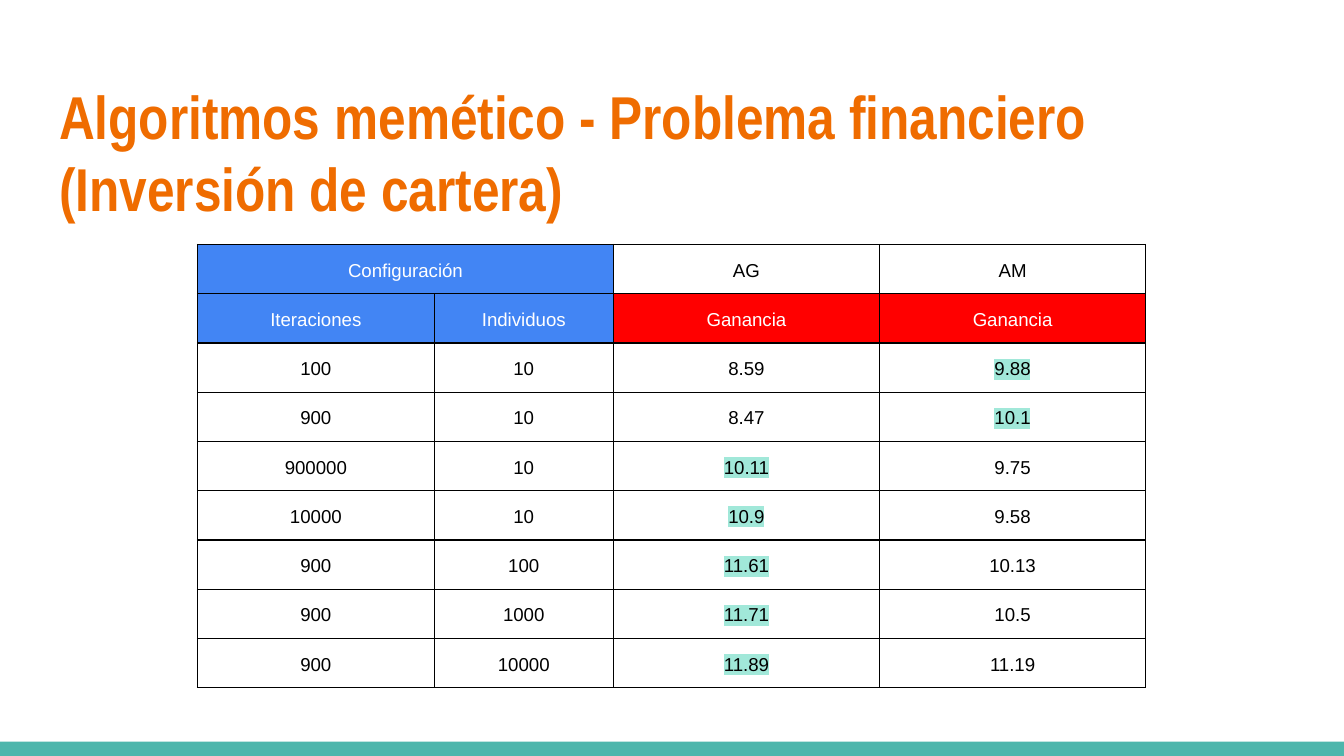
from dataclasses import dataclass

from lxml import etree
from pptx import Presentation
from pptx import util as u
from pptx.dml.color import RGBColor
from pptx.enum import shapes, text
from pptx.oxml.ns import qn


@dataclass(frozen=True)
class Theme:
    orange: str = "EF6C00"
    teal: str = "4DB6AC"
    mint: str = "A1E8D9"
    blue: str = "4285F4"
    red: str = "FF0000"
    white: str = "FFFFFF"
    black: str = "000000"
    title_font: str = "Arial Narrow"
    table_font: str = "Arial"
    title_size: float = 32.4
    table_size: float = 10
    border_width: float = 0.75


THEME = Theme()
TITLE = "Algoritmos memético - Problema financiero (Inversión de cartera)"
GROUPS = ("Configuración", "", "AG", "AM")
HEADINGS = ("Iteraciones", "Individuos", "Ganancia", "Ganancia")
RESULTS = (
    (100, 10, 8.59, 9.88),
    (900, 10, 8.47, 10.1),
    (900000, 10, 10.11, 9.75),
    (10000, 10, 10.9, 9.58),
    (900, 100, 11.61, 10.13),
    (900, 1000, 11.71, 10.5),
    (900, 10000, 11.89, 11.19),
)
COLUMN_WIDTHS = (126.8, 96, 142.6, 142.6)
ROW_HEIGHT = 26.4


def add_footer_bar(slide):
    bar = slide.shapes.add_shape(
        shapes.MSO_SHAPE.RECTANGLE, u.Pt(0), u.Pt(397.4), u.Pt(720), u.Pt(7.6))
    bar.shadow.inherit = False
    bar.fill.solid()
    bar.fill.fore_color.rgb = RGBColor.from_string(THEME.teal)
    bar.line.fill.background()


def format_font(font, name, size, color, bold=False):
    font.name = name
    font.size = u.Pt(size)
    font.bold = bold
    font.color.rgb = RGBColor.from_string(color)


def set_title(slide):
    title = slide.shapes.title
    title.left, title.top = u.Pt(24.5), u.Pt(35)
    title.width, title.height = u.Pt(671), u.Pt(55.4)
    frame = title.text_frame
    frame.text = TITLE
    frame.word_wrap = True
    frame.auto_size = text.MSO_AUTO_SIZE.NONE
    frame.vertical_anchor = text.MSO_ANCHOR.TOP
    frame.margin_left = frame.margin_right = u.Pt(7.2)
    frame.margin_top = frame.margin_bottom = u.Pt(7.2)
    heading = frame.paragraphs[0]
    heading.alignment = text.PP_ALIGN.LEFT
    heading.line_spacing = 1.0
    format_font(heading.runs[0].font, THEME.title_font, THEME.title_size,
                THEME.orange, bold=True)


def add_color(parent, tag, color):
    holder = etree.SubElement(parent, qn(tag))
    etree.SubElement(holder, qn("a:srgbClr"), val=color)
    return holder


def set_borders(cell):
    properties = cell._tc.get_or_add_tcPr()
    for position, side in enumerate(("a:lnL", "a:lnR", "a:lnT", "a:lnB")):
        border = etree.Element(qn(side), w=str(u.Pt(THEME.border_width)))
        add_color(border, "a:solidFill", THEME.black)
        properties.insert(position, border)


def highlight(run):
    properties = run._r.get_or_add_rPr()
    marker = add_color(properties, "a:highlight", THEME.mint)
    properties.find(qn("a:solidFill")).addnext(marker)


def fill_cell(cell, wording, background=None, best=False):
    cell.margin_left = cell.margin_right = u.Pt(2)
    cell.margin_top = cell.margin_bottom = u.Pt(1.5)
    cell.vertical_anchor = text.MSO_ANCHOR.MIDDLE
    if background:
        cell.fill.solid()
        cell.fill.fore_color.rgb = RGBColor.from_string(background)
    else:
        cell.fill.background()
    set_borders(cell)
    if not wording:
        return
    cell.text_frame.text = wording
    entry = cell.text_frame.paragraphs[0]
    entry.alignment = text.PP_ALIGN.CENTER
    entry.line_spacing = 1.15
    format_font(entry.runs[0].font, THEME.table_font, THEME.table_size,
                THEME.white if background else THEME.black)
    if best:
        highlight(entry.runs[0])


def add_results_table(slide):
    row_count = len(RESULTS) + 2
    results = slide.shapes.add_table(
        row_count, len(COLUMN_WIDTHS), u.Pt(105.8), u.Pt(131),
        u.Pt(sum(COLUMN_WIDTHS)), u.Pt(ROW_HEIGHT * row_count)).table
    results.first_row = results.horz_banding = False
    for column, width in zip(results.columns, COLUMN_WIDTHS):
        column.width = u.Pt(width)
    for row in results.rows:
        row.height = u.Pt(ROW_HEIGHT)
    results.cell(0, 0).merge(results.cell(0, 1))

    group_fills = (THEME.blue, THEME.blue, None, None)
    heading_fills = (THEME.blue, THEME.blue, THEME.red, THEME.red)
    for r, (labels, fills) in enumerate(
            ((GROUPS, group_fills), (HEADINGS, heading_fills))):
        for c, (label, background) in enumerate(zip(labels, fills)):
            fill_cell(results.cell(r, c), label, background)
    for r, values in enumerate(RESULTS, start=2):
        top_gain = max(values[2:])
        for c, value in enumerate(values):
            fill_cell(results.cell(r, c), str(value),
                      best=c >= 2 and value == top_gain)


def main():
    deck = Presentation()
    deck.slide_width, deck.slide_height = u.Pt(720), u.Pt(405)
    slide = deck.slides.add_slide(deck.slide_layouts[5])
    add_footer_bar(slide)
    set_title(slide)
    add_results_table(slide)
    deck.save("out.pptx")


if __name__ == "__main__":
    main()
